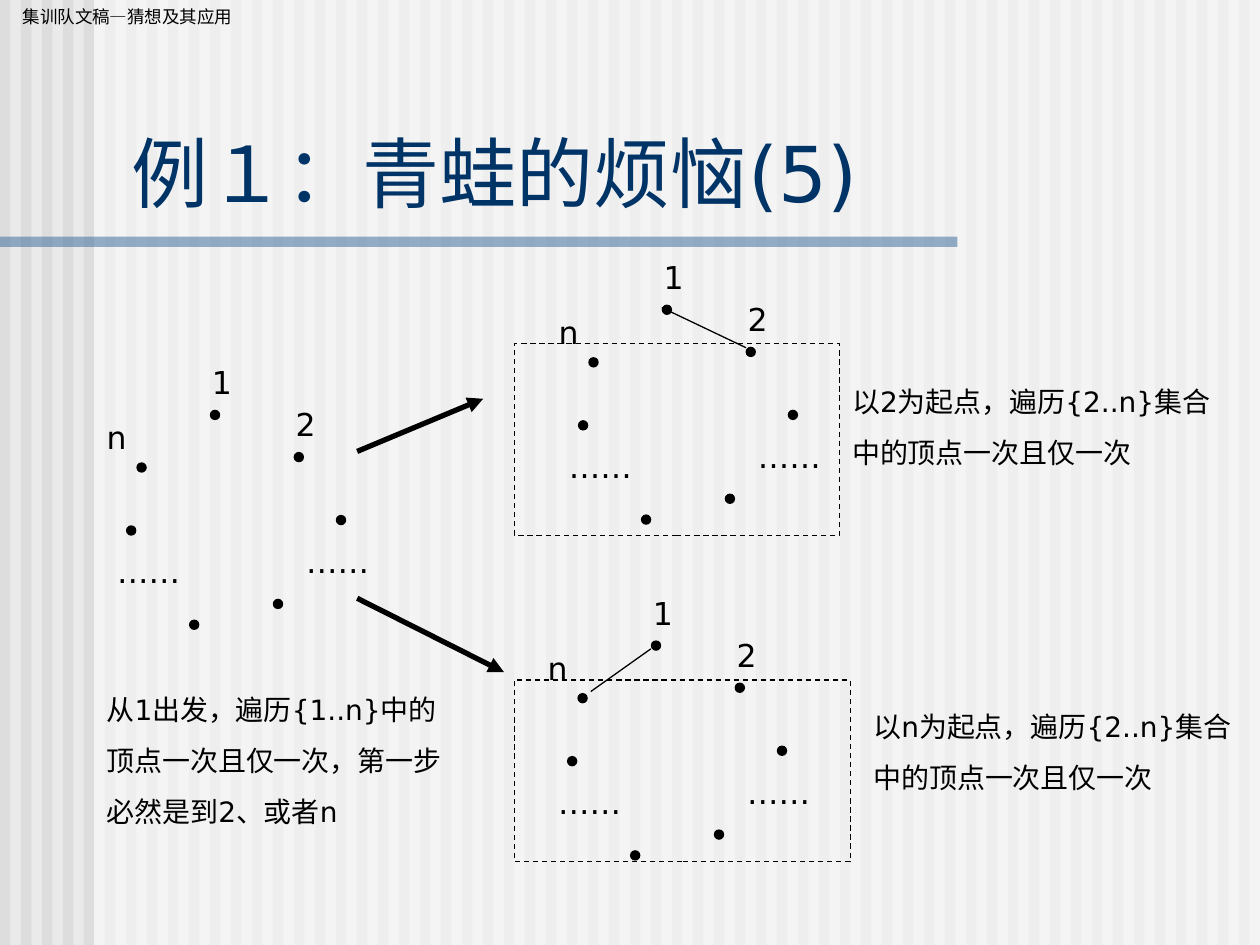
import pptx
import pptx.util
import pptx.dml.color
import pptx.enum.dml
import pptx.enum.shapes
import pptx.enum.text
from lxml import etree
from pptx.oxml.ns import qn

Cm, Pt = pptx.util.Cm, pptx.util.Pt
SHAPES = pptx.enum.shapes.MSO_SHAPE
BLACK = "000000"
SANS = "DejaVu Sans"

# Offsets in cm from the dot of vertex 1
DOTS = [(0, 0), (1.69, 0.85), (-1.48, 1.06), (2.54, 2.12),
        (-1.69, 2.33), (-0.42, 4.23), (1.27, 3.81)]
LABELS = [("……", -2.12, 2.75, 1.9), ("……", 1.69, 2.54, 1.9),
          ("1", -0.21, -1.06, 2.54), ("2", 1.48, -0.21, 2.12),
          ("n", -2.33, 0.05, 1.9)]


def colour(code):
    return pptx.dml.color.RGBColor.from_string(code)


class Painter:
    """Draws on one page; all lengths are in centimetres."""

    def __init__(self, page):
        self.page = page

    def block(self, left, top, width, height, fill, opacity=100,
              preset=SHAPES.RECTANGLE):
        shape = self.page.shapes.add_shape(
            preset, Cm(left), Cm(top), Cm(width), Cm(height))
        shape.shadow.inherit = False
        shape.line.fill.background()
        shape.fill.solid()
        shape.fill.fore_color.rgb = colour(fill)
        if opacity < 100:
            tint = shape.fill._xPr.find(".//" + qn("a:srgbClr"))
            etree.SubElement(tint, qn("a:alpha"), val=str(opacity * 1000))

    def dashed_frame(self, left, top, width, height):
        frame = self.page.shapes.add_shape(
            SHAPES.RECTANGLE, Cm(left), Cm(top), Cm(width), Cm(height))
        frame.shadow.inherit = False
        frame.fill.background()
        frame.line.color.rgb = colour(BLACK)
        frame.line.width = Pt(0.75)
        frame.line.dash_style = pptx.enum.dml.MSO_LINE.DASH

    def text(self, left, top, width, height, lines, size, font=SANS,
             ink=BLACK, anchor=pptx.enum.text.MSO_ANCHOR.TOP, gap=0):
        box = self.page.shapes.add_textbox(
            Cm(left), Cm(top), Cm(width), Cm(height))
        frame = box.text_frame
        frame.word_wrap = True
        frame.auto_size = pptx.enum.text.MSO_AUTO_SIZE.SHAPE_TO_FIT_TEXT
        frame.vertical_anchor = anchor
        frame.text = "\n".join(lines)
        for index, para in enumerate(frame.paragraphs):
            if index:
                para.space_before = Pt(gap)
            para.font.name = font
            para.font.size = Pt(size)
            para.font.color.rgb = colour(ink)

    def line(self, x1, y1, x2, y2, width=0.75, arrow=False):
        connector = self.page.shapes.add_connector(
            pptx.enum.shapes.MSO_CONNECTOR.STRAIGHT,
            Cm(x1), Cm(y1), Cm(x2), Cm(y2))
        connector.line.color.rgb = colour(BLACK)
        connector.line.width = Pt(width)
        properties = connector._element.spPr
        if arrow:
            etree.SubElement(properties.find(qn("a:ln")), qn("a:tailEnd"),
                             type="triangle")
        etree.SubElement(properties, qn("a:effectLst"))

    def ring(self, left, top):
        """Draw the ring of vertices, with vertex 1 at the given place."""
        for dx, dy in DOTS:
            self.block(left + dx, top + dy, 0.21, 0.21, BLACK,
                       preset=SHAPES.OVAL)
        for label, dx, dy, width in LABELS:
            self.text(left + dx, top + dy, width, 1.02, [label], 18)

    def caption(self, left, top, width, height, lines):
        self.text(left, top, width, height, lines, 16, gap=10)


def main():
    deck = pptx.Presentation()
    deck.slide_width, deck.slide_height = Cm(25.4), Cm(19.05)
    page = deck.slides.add_slide(deck.slide_layouts[6])
    page.background.fill.solid()
    page.background.fill.fore_color.rgb = colour("EAEAEA")
    painter = Painter(page)

    stripes = 60
    pitch = 25.4 / stripes
    for index in range(stripes):
        painter.block(index * pitch, 0, pitch / 2, 19.05, "DDDDDD")
    painter.block(1.9, 0, 23.5, 19.05, "FFFFFF", opacity=50)
    painter.block(0, 4.77, 19.3, 0.21, "336699", opacity=50)

    painter.text(0.21, 0, 5.72, 0.69, ["集训队文稿—猜想及其应用"], 10,
                 font="Times New Roman")
    painter.text(2.41, 2.39, 22.68, 2.13, ["例１：青蛙的烦恼(5)"], 44,
                 ink="003366", anchor=pptx.enum.text.MSO_ANCHOR.BOTTOM)

    for left, top in [(4.23, 8.26), (13.34, 6.14), (13.12, 12.91)]:
        painter.ring(left, top)

    painter.line(13.34, 6.2, 15.04, 7.01)
    painter.dashed_frame(10.37, 6.93, 6.56, 3.86)
    painter.line(7.2, 9.1, 9.74, 8.04, width=3, arrow=True)

    painter.dashed_frame(10.37, 13.71, 6.77, 3.66)
    painter.line(13.12, 13.08, 11.91, 13.94)
    painter.line(7.2, 12.06, 10.16, 13.55, width=3, arrow=True)

    painter.caption(1.9, 13.84, 7.62, 3, [
        "从1出发，遍历{1..n}中的", "顶点一次且仅一次，第一步", "必然是到2、或者n"])
    for start, left, top in [("2", 16.93, 7.62), ("n", 17.36, 14.18)]:
        painter.caption(left, top, 8.04, 1.96, [
            f"以{start}为起点，遍历{{2..n}}集合", "中的顶点一次且仅一次"])

    deck.save("out.pptx")


if __name__ == "__main__":
    main()
